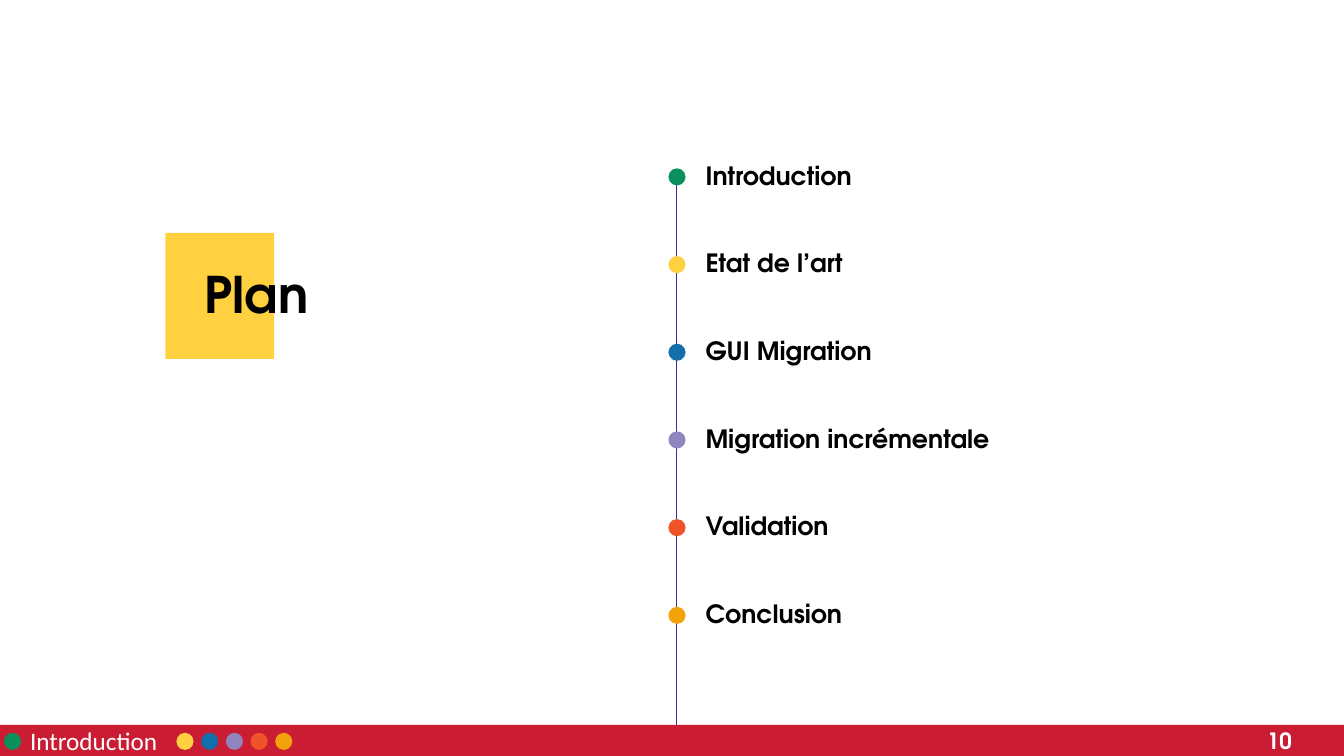
"""Build the plan slide: a title, a timeline of chapters and a progress footer."""
from lxml import etree
from pptx import Presentation
from pptx.dml.color import RGBColor
from pptx.enum import shapes, text
from pptx.oxml import ns
from pptx.util import Inches, Pt

BLACK = RGBColor(0x00, 0x00, 0x00)
WHITE = RGBColor(0xFF, 0xFF, 0xFF)
RED = RGBColor(0xCA, 0x1D, 0x34)
INDIGO = RGBColor(0x36, 0x2E, 0x95)
GREEN = RGBColor(0x0A, 0x90, 0x5D)
YELLOW = RGBColor(0xFF, 0xD0, 0x40)
BLUE = RGBColor(0x13, 0x6F, 0xAC)
LILAC = RGBColor(0x90, 0x85, 0xBE)
ORANGE = RGBColor(0xF0, 0x53, 0x27)
AMBER = RGBColor(0xF3, 0xA2, 0x09)

TITLE = "Plan"
NUMBER = "10"
PARTS = [
    ("Introduction", GREEN),
    ("Etat de l’art", YELLOW),
    ("GUI Migration", BLUE),
    ("Migration incrémentale", LILAC),
    ("Validation", ORANGE),
    ("Conclusion", AMBER),
]
HEAD = "TeX Gyre Adventor"
BODY = "Calibri"
WIDE, HIGH = 13.33, 7.5
BAR = 7.19
DOT = 0.17
TOP, STEP = 1.67, 0.87
LEFT, GAP = 1.75, 0.245

deck = Presentation()
deck.slide_width, deck.slide_height = Inches(WIDE), Inches(HIGH)
slide = deck.slides.add_slide(deck.slide_layouts[6])


def add_form(kind, x, y, w, h, color):
    form = slide.shapes.add_shape(kind, Inches(x), Inches(y), Inches(w), Inches(h))
    form.shadow.inherit = False
    form.fill.solid()
    form.fill.fore_color.rgb = color
    form.line.fill.background()


def add_dot(x, y, color):
    add_form(shapes.MSO_SHAPE.OVAL, x, y, DOT, DOT, color)


def add_label(words, x, y, w, h, size, font=HEAD, color=BLACK):
    box = slide.shapes.add_textbox(Inches(x), Inches(y), Inches(w), Inches(h))
    frame = box.text_frame
    frame.word_wrap = True
    para = frame.paragraphs[0]
    run = para.add_run()
    run.text = words
    run.font.name = font
    run.font.size = Pt(size)
    run.font.bold = font == HEAD
    run.font.color.rgb = color
    return frame, para


add_form(shapes.MSO_SHAPE.RECTANGLE, 0, BAR, WIDE, HIGH - BAR, RED)
add_form(shapes.MSO_SHAPE.RECTANGLE, 1.64, 2.31, 1.08, 1.25, YELLOW)

line = slide.shapes.add_connector(
    shapes.MSO_CONNECTOR.STRAIGHT, Inches(6.71), Inches(1.83), Inches(6.71), Inches(BAR))
line.line.color.rgb = INDIGO
line.line.width = Pt(0.5)
etree.SubElement(line._element.spPr, ns.qn("a:effectLst"))

for row, (name, color) in enumerate(PARTS):
    y = TOP + row * STEP
    add_dot(6.63, y, color)
    frame, para = add_label(name, 6.9, y - 0.15, 4.44, 0.47, 18)
    frame.vertical_anchor = text.MSO_ANCHOR.MIDDLE
    frame.margin_left = frame.margin_right = Inches(0.1)
    frame.margin_top = frame.margin_bottom = Inches(0.1)
    para.line_spacing = 0.9

add_label(TITLE, 1.93, 2.56, 3.62, 0.71, 36)

now, tint = PARTS[0]
add_dot(0.04, 7.27, tint)
add_label(now, 0.2, 7.15, 1.61, 0.4, 18, BODY, WHITE)
for col, (name, color) in enumerate(PARTS[1:]):
    add_dot(LEFT + col * GAP, 7.27, color)
frame, para = add_label(NUMBER, 12.25, 7.16, 0.88, 0.31, 16, HEAD, WHITE)
para.alignment = text.PP_ALIGN.CENTER

deck.save("out.pptx")
